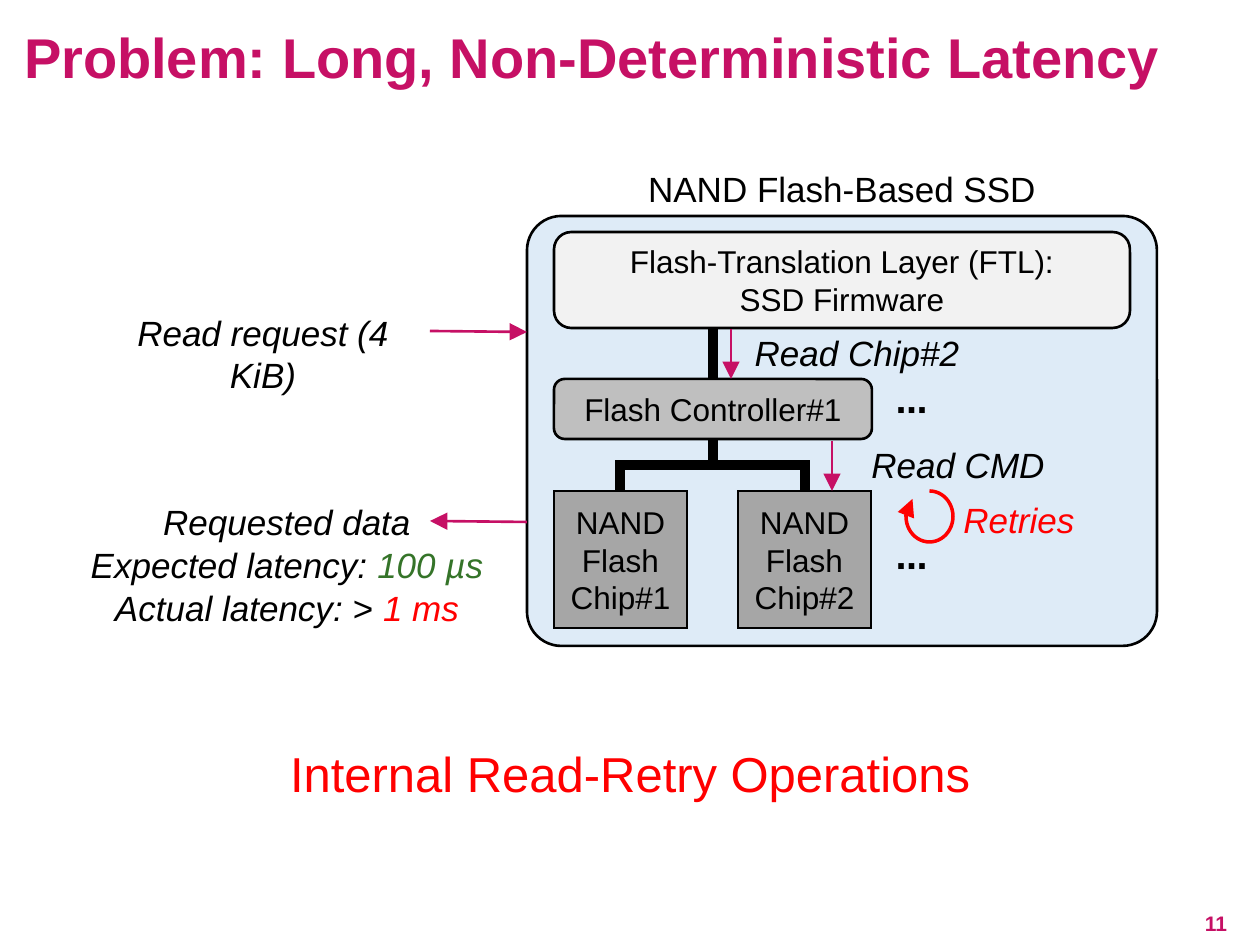
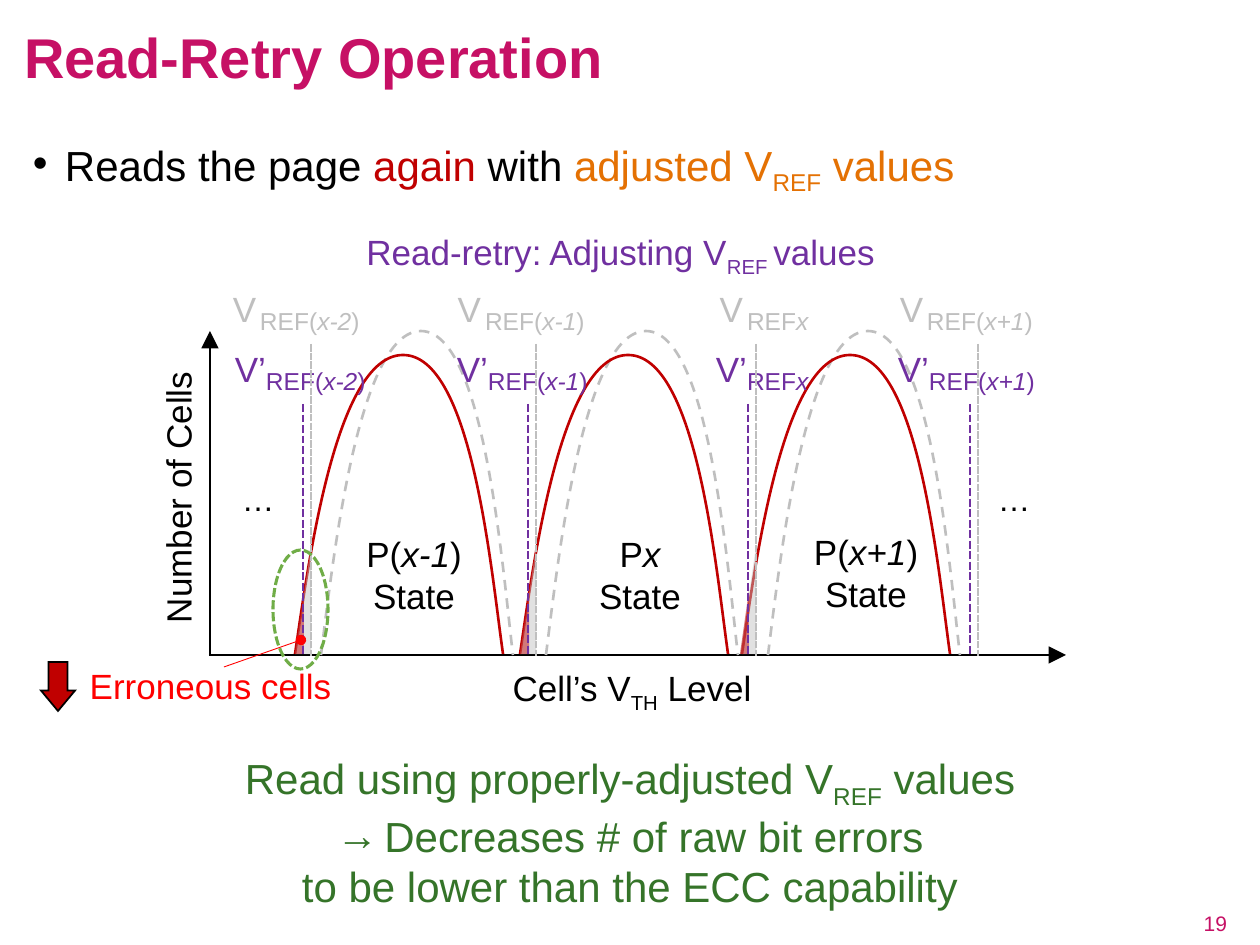
import pptx
import pptx.util
import pptx.dml.color
import pptx.enum.dml
import pptx.enum.shapes
import pptx.enum.text
import pptx.oxml.ns
import lxml.etree

PX = 914400 / 126
FONT = "Arial"
HUES = {
    "black": "000000", "white": "FFFFFF", "pink": "C61065", "red": "FF0000",
    "dark": "C00000", "green": "357429", "lime": "70AD47", "orange": "E47103",
    "plum": "7030A0", "ice": "DEEBF7", "pale": "F2F2F2", "light": "BFBFBF",
    "mid": "A6A6A6",
}
KIND = pptx.enum.shapes.MSO_SHAPE
LINK = pptx.enum.shapes.MSO_CONNECTOR
FIT = pptx.enum.text.MSO_AUTO_SIZE
SIDE = {"l": pptx.enum.text.PP_ALIGN.LEFT, "c": pptx.enum.text.PP_ALIGN.CENTER,
        "r": pptx.enum.text.PP_ALIGN.RIGHT}
HOLD = {"t": pptx.enum.text.MSO_ANCHOR.TOP, "m": pptx.enum.text.MSO_ANCHOR.MIDDLE,
        "b": pptx.enum.text.MSO_ANCHOR.BOTTOM}
DASH = {"dash": pptx.enum.dml.MSO_LINE.DASH, "dots": pptx.enum.dml.MSO_LINE.SQUARE_DOT}
INSET = (13, 6, 13, 6)

# Content. A run is plain text or (text, hue, style): i italic, b bold, v lowered.
TITLES = ["Problem: Long, Non-Deterministic Latency", "Read-Retry Operation"]
PAGES = [("11", "b"), ("19", "")]

# Blocks of the drive: place, kind, corner, fill, lines
PARTS = [
    ((527, 216, 630, 430), KIND.ROUNDED_RECTANGLE, 0.08, "ice", []),
    ((554, 232, 576, 96), KIND.ROUNDED_RECTANGLE, 0.18, "pale",
     ["Flash-Translation Layer (FTL):", "SSD Firmware"]),
    ((554, 379, 318, 60), KIND.ROUNDED_RECTANGLE, 0.18, "light", ["Flash Controller#1"]),
    ((554, 491, 133, 137), KIND.RECTANGLE, None, "mid", ["NAND", "Flash", "Chip#1"]),
    ((738, 491, 133, 137), KIND.RECTANGLE, None, "mid", ["NAND", "Flash", "Chip#2"]),
]
# Labels: place, hue, anchor, lines
NOTES = [
    ((103, 311, 320, 43), "black", "t", ["Read request (4 KiB)"]),
    ((131, 500, 312, 43), "black", "t", ["Requested data"]),
    ((35, 543, 504, 43), "black", "m", [["Expected latency: ", ("100 µs", "green", "i")]]),
    ((35, 586, 504, 43), "black", "m", [["Actual latency: > ", ("1 ms", "red", "i")]]),
    ((697, 331, 320, 43), "black", "t", ["Read Chip#2"]),
    ((798, 444, 320, 43), "black", "t", ["Read CMD"]),
    ((859, 498, 320, 43), "red", "t", ["Retries"]),
]
DOTS = [384, 540]
FLOWS = [(430, 331, 527, 332), (527, 522, 430, 521), (731, 329, 731, 379), (832, 441, 832, 491)]

BULLET = ["Reads the page ", ("again", "dark", ""), " with ", ("adjusted V", "orange", ""),
          ("REF", "orange", "v"), (" values", "orange", "")]
CLOSE = [["Read using properly-adjusted V", ("REF", "green", "v"), " values"],
         ["Decreases # of raw bit errors"], ["to be lower than the ECC capability"]]
# Reference levels: x of the line, x of the old and new labels, subscript runs
LEVELS = [
    (311, 200, 206, ["REF(", ("x-2", "", "i"), ")"]),
    (536, 425, 428, ["REF(", ("x-1", "", "i"), ")"]),
    (756, 687, 687, ["REF", ("x", "", "i")]),
    (978, 867, 869, ["REF(", ("x+1", "", "i"), ")"]),
]
# States: x of the old curve, label place, name runs
STATES = [
    (321, (334, 532, 160, 84), ["P(", ("x-1", "", "i"), ")"]),
    (546, (560, 532, 160, 84), ["P", ("x", "", "i")]),
    (768, (794, 530, 144, 84), ["P(", ("x+1", "", "i"), ")"]),
]
BASE = 655
OLD = [(0, 655), (12, 561), (37, 331), (100, 331), (163, 331), (181, 562), (192, 655)]
NEW = [(-26, 654), (-13, 567), (14, 355), (82, 355), (151, 355), (170, 570), (182, 654)]
SHIFT = 8


def emu(*nums):
    return [pptx.util.Emu(round(n * PX)) for n in nums]


def tint(hue):
    return pptx.dml.color.RGBColor.from_string(HUES[hue])


def tag(node, name, **keys):
    return lxml.etree.SubElement(node, pptx.oxml.ns.qn("a:" + name), **keys)


def write(frame, paras, size, hue="black", style="", side="c", hold="m",
          inset=(0, 0, 0, 0), lead=None, marks={}, fit=FIT.NONE, wrap=True):
    """Fill a text frame; marks maps a paragraph number to (bullet, indent)."""
    frame.word_wrap = wrap
    frame.auto_size = fit
    frame.vertical_anchor = HOLD[hold]
    (frame.margin_left, frame.margin_top,
     frame.margin_right, frame.margin_bottom) = emu(*inset)
    for i, runs in enumerate(paras):
        para = frame.paragraphs[0] if i == 0 else frame.add_paragraph()
        para.alignment = SIDE[side]
        para.space_before = pptx.util.Pt(0)
        if lead:
            para.line_spacing = lead
        if i in marks:
            sign, dent = marks[i]
            props = para._p.get_or_add_pPr()
            props.set("marL", str(emu(dent)[0]))
            props.set("indent", str(emu(-dent)[0]))
            tag(props, "buFont", typeface=FONT)
            tag(props, "buChar", char=sign)
        for run in [runs] if isinstance(runs, str) else runs:
            if run == "\n":
                para.add_line_break()
                continue
            text, tone, look = (run, "", style) if isinstance(run, str) else run
            bit = para.add_run()
            bit.text = text
            font = bit.font
            font.name, font.size = FONT, pptx.util.Pt(size)
            font.bold, font.italic = "b" in look, "i" in look
            font.color.rgb = tint(tone or hue)
            if "v" in look:
                bit._r.get_or_add_rPr().set("baseline", "-25000")


def label(slide, place, paras, size=20, fit=FIT.SHAPE_TO_FIT_TEXT, **opts):
    box = slide.shapes.add_textbox(*emu(*place))
    write(box.text_frame, paras, size, fit=fit, **opts)
    return box


def stroke(line, hue, width, dash=None, tip=None):
    line.color.rgb = tint(hue)
    line.width = pptx.util.Pt(width)
    if dash:
        line.dash_style = DASH[dash]
    node = line._get_or_add_ln()
    tag(node, "miter", lim="800000")
    if tip:
        span = "lg" if tip == "triangle" else "med"
        tag(node, "tailEnd", type=tip, w=span, len=span)


def paint(shape, fill=None, hue=None, width=1.5, dash=None, tip=None, clear=None):
    shape.shadow.inherit = False
    if fill:
        shape.fill.solid()
        shape.fill.fore_color.rgb = tint(fill)
        if clear:
            tag(shape.fill._xPr.find(".//" + pptx.oxml.ns.qn("a:srgbClr")),
                "alpha", val=str(clear * 1000))
    else:
        shape.fill.background()
    if hue:
        stroke(shape.line, hue, width, dash, tip)
    else:
        shape.line.fill.background()


def form(slide, kind, place, adj=(), **look):
    shape = slide.shapes.add_shape(kind, *emu(*place))
    for i, value in enumerate(adj):
        shape.adjustments[i] = value
    paint(shape, **look)
    return shape


def link(slide, ends, hue, width, dash=None, tip=None, kind=LINK.STRAIGHT):
    wire = slide.shapes.add_connector(kind, *emu(*ends))
    stroke(wire.line, hue, width, dash, tip)
    tag(wire._element.spPr, "effectLst")
    return wire


def branch(slide, x, top, goal, low):
    """Thick elbow that leaves downwards and ends above a chip."""
    mid, row = (x + goal) / 2, (top + low) / 2
    half, wide = (low - top) / 2, abs(goal - x) / 2
    turn = 90 if goal < x else 270
    if turn == 270:
        half = -half
    wire = link(slide, (mid - half, row - wide, mid + half, row + wide), "black", 6,
                kind=LINK.ELBOW)
    wire._element.spPr.xfrm.set("rot", str(turn * 60000))


def curve(slide, x, knots, hue, dash=None):
    """Outline through the knots, its segments joined by threes into cubic arcs."""
    dots = [emu(x + a, b) for a, b in knots]
    path = slide.shapes.build_freeform(*dots[0])
    path.add_line_segments(dots[1:], close=False)
    shape = path.convert_to_shape()
    steps = list(shape._element.iter(pptx.oxml.ns.qn("a:lnTo")))
    track = steps[0].getparent()
    for k in range(0, len(steps), 3):
        arc = tag(track, "cubicBezTo")
        for step in steps[k:k + 3]:
            arc.append(step[0])
            track.remove(step)
    paint(shape, hue=hue, dash=dash)


def start(deck, num, layout):
    """Slide with the shared title style and page number."""
    slide = deck.slides.add_slide(deck.slide_layouts[layout])
    head = slide.shapes.title
    head.left, head.top, head.width, head.height = emu(0, 0, 1260, 112)
    write(head.text_frame, [TITLES[num]], 32, hue="pink", style="b", side="l",
          inset=(24, 8, 24, 0), lead=0.9)
    page, style = PAGES[num]
    label(slide, (958, 898, 282, 50), [page], 12, FIT.NONE, hue="pink", style=style,
          side="r", inset=INSET)
    return slide


def drive(deck):
    slide = start(deck, 0, 5)
    # Blocks and thick buses
    for place, kind, bend, fill, lines in PARTS:
        block = form(slide, kind, place, [bend] if bend else [], fill=fill, hue="black")
        if lines:
            write(block.text_frame, lines, 18)
    name = form(slide, KIND.ROUNDED_RECTANGLE, (527, 150, 630, 60), [0], fill="white", hue="white")
    write(name.text_frame, ["NAND Flash-Based SSD"], 20, hold="b")
    link(slide, (713, 379, 713, 328), "black", 6)
    for goal in (620, 805):
        branch(slide, 713, 439, goal, 491)
    # Labels and arrows
    for place, hue, hold, lines in NOTES:
        label(slide, place, lines, hue=hue, style="i", hold=hold)
    for top in DOTS:
        label(slide, (883, top, 53, 50), ["⋯"], 18, style="b", hold="t", inset=INSET, wrap=False)
    for ends in FLOWS:
        link(slide, ends, "pink", 1.5, tip="triangle")
    form(slide, KIND.ARC, (906, 491, 47, 51), (162, 135.54), hue="red", width=2, tip="triangle")
    label(slide, (-15, 737, 1290, 72), ["Internal Read-Retry Operations"], 28, hue="red",
          hold="t", inset=INSET)


def retry(deck):
    slide = start(deck, 1, 1)
    body = slide.placeholders[1]
    body.left, body.top, body.width, body.height = emu(20, 134, 1218, 742)
    write(body.text_frame, [BULLET], 24, side="l", hold="t", inset=INSET, lead=0.9,
          marks={0: ("•", 32)})
    # Axes
    link(slide, (210, BASE, 210, 331), "black", 1.5, tip="triangle")
    link(slide, (209, BASE, 1066, BASE), "black", 1.5, tip="triangle")
    label(slide, (-43, 476, 441, 43), ["Number of Cells"]).rotation = 270
    for left in (178, 934):
        label(slide, (left, 457, 160, 45), [[("…", "", "v")]], 32)
    label(slide, (489, 669, 286, 43), [["Cell’s V", ("TH", "", "v"), " Level"]])
    # Old curves, state names, new curves
    for x, place, name in STATES:
        curve(slide, x, OLD, "light", "dash")
    for x, place, name in STATES:
        lines = [name + ["\n", "State"]]
        if x == STATES[-1][0]:
            plate = form(slide, KIND.RECTANGLE, place, fill="white")
            write(plate.text_frame, lines, 20, fit=FIT.SHAPE_TO_FIT_TEXT)
        else:
            label(slide, place, lines)
    for x, place, name in STATES:
        curve(slide, x, NEW, "dark")
    # Reference levels before and after, with error areas
    for x, old, new, sub in LEVELS:
        for hue, left, rise, sign, area, tall, wide in (
                ("light", old, 287, "V", "light", 107, 16),
                ("plum", new, 347, "V’", "dark", 64, 9)):
            label(slide, (left, rise, 89, 43), [sign], hue=hue)
            label(slide, (left + 60, rise + 19, 159, 30), [sub], 14, hue=hue, side="l")
            if x != LEVELS[-1][0]:
                form(slide, KIND.ISOSCELES_TRIANGLE, (x - 16, BASE - 1 - tall, wide, tall), [1],
                     fill=area, clear=46)
        for lift in (0, 1):
            link(slide, (x, 345 - lift, x, BASE + 1 - lift), "light", 1.25, "dots")
        link(slide, (x - SHIFT, 404, x - SHIFT, BASE), "plum", 1.5, "dots")
    # Callouts
    label(slide, (24, 658, 373, 55), ["Erroneous cells"], hue="red", inset=INSET)
    link(slide, (224, 667, 301, 640), "red", 0.5, tip="oval")
    form(slide, KIND.DOWN_ARROW, (41, 662, 34, 49), (0.56, 0.6), fill="dark", hue="black", width=1)
    form(slide, KIND.OVAL, (273, 550, 55, 119), hue="lime", width=1.75, dash="dots")
    strip = form(slide, KIND.RECTANGLE, (214, 233, 813, 43), fill="white")
    write(strip.text_frame, [["Read-retry: Adjusting V", ("REF ", "", "v"), "values"]], 20,
          hue="plum", fit=FIT.SHAPE_TO_FIT_TEXT)
    label(slide, (169, 747, 922, 165), CLOSE, 24, hue="green", hold="t", inset=INSET,
          marks={1: ("→", 48)})


def main():
    deck = pptx.Presentation()
    deck.slide_width, deck.slide_height = emu(1260, 945)
    drive(deck)
    retry(deck)
    deck.save("out.pptx")


if __name__ == "__main__":
    main()
